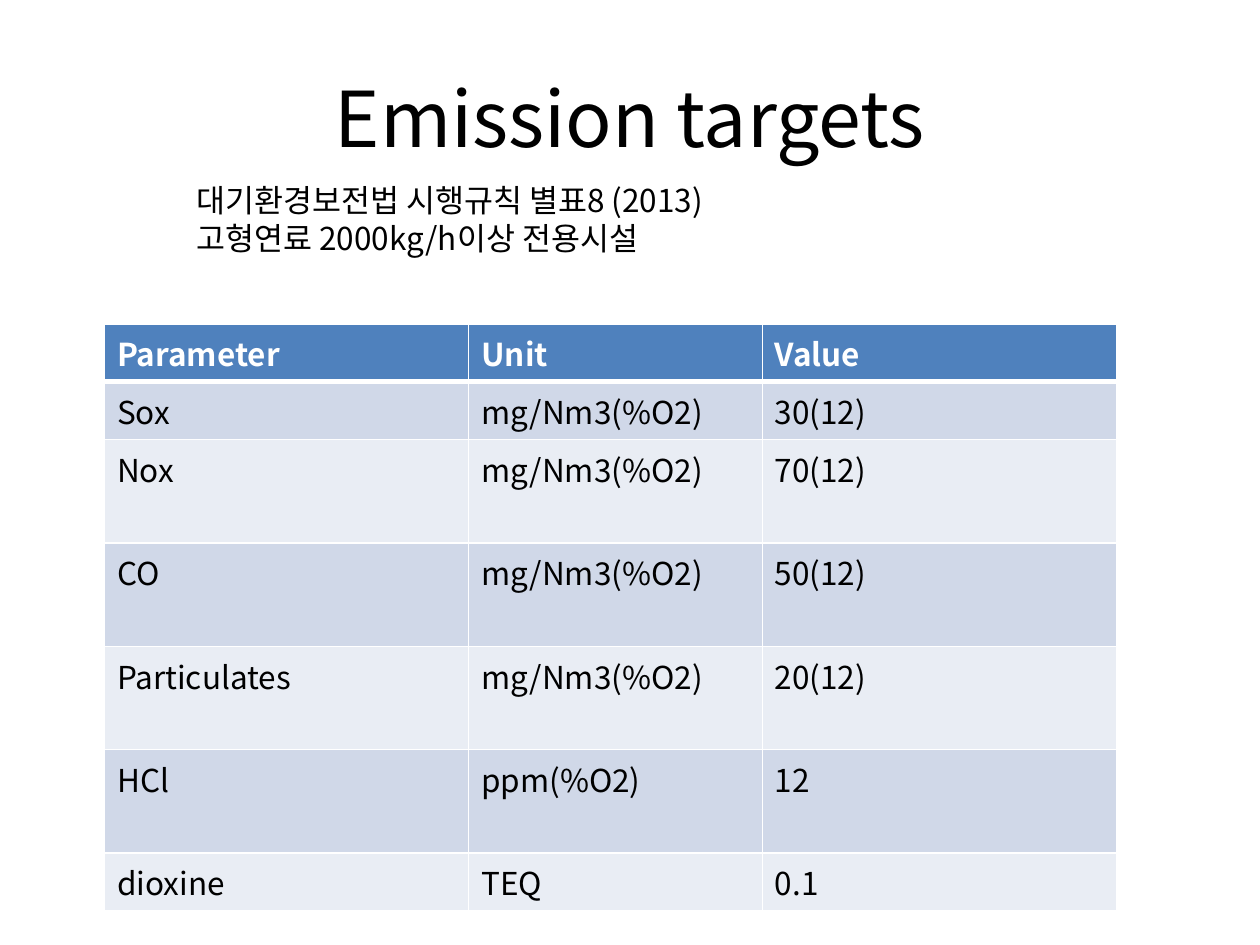
import dataclasses

import lxml.etree
import pptx
import pptx.dml.color
import pptx.enum.text
import pptx.oxml.ns
import pptx.util

Inches = pptx.util.Inches
ALIGN = pptx.enum.text.PP_ALIGN
ANCHOR = pptx.enum.text.MSO_ANCHOR


@dataclasses.dataclass(frozen=True)
class Theme:
    """Colours, font and type sizes of the slide."""
    font: str = "Noto Sans CJK KR"
    title_size: int = 44
    body_size: int = 18
    ink: str = "000000"
    white: str = "FFFFFF"
    header: str = "4F81BD"
    bands: tuple = ("D0D8E8", "E9EDF4")


THEME = Theme()
COLUMN_WIDTHS = (2.89, 2.33, 2.81)
SHORT_ROW, TALL_ROW = 0.46, 0.82
ROW_HEIGHTS = (SHORT_ROW, SHORT_ROW, *[TALL_ROW] * 4, SHORT_ROW)
TARGETS = (
    ("Parameter", "Unit", "Value"),
    ("Sox", "mg/Nm3(%O2)", "30(12)"),
    ("Nox", "mg/Nm3(%O2)", "70(12)"),
    ("CO", "mg/Nm3(%O2)", "50(12)"),
    ("Particulates", "mg/Nm3(%O2)", "20(12)"),
    ("HCl", "ppm(%O2)", "12"),
    ("dioxine", "TEQ", "0.1"),
)
REGULATION = (
    "대기환경보전법 시행규칙 별표8 (2013)",
    "고형연료 2000kg/h이상 전용시설",
)


def rgb(value):
    """Return a colour object for a hexadecimal value."""
    return pptx.dml.color.RGBColor.from_string(value)


def write_text(frame, lines, size=THEME.body_size, color=THEME.ink, bold=False,
               align=ALIGN.LEFT):
    """Write one formatted paragraph for each line of text."""
    for index, line in enumerate(lines):
        paragraph = frame.add_paragraph() if index else frame.paragraphs[0]
        paragraph.alignment = align
        run = paragraph.add_run()
        run.text = line
        run.font.name = THEME.font
        run.font.size = pptx.util.Pt(size)
        run.font.bold = bold
        run.font.color.rgb = rgb(color)
        east_asian = lxml.etree.SubElement(
            run.font._element, pptx.oxml.ns.qn("a:ea"))
        east_asian.set("typeface", THEME.font)


def add_text_box(slide, box, lines, anchor=ANCHOR.TOP, **text_format):
    """Place a wrapped text box in the given box."""
    frame = slide.shapes.add_textbox(*map(Inches, box)).text_frame
    frame.word_wrap = True
    frame.vertical_anchor = anchor
    write_text(frame, lines, **text_format)


def add_border(cell, side, width):
    """Draw one white border of a cell, with its width in points."""
    properties = cell._tc.get_or_add_tcPr()
    line = lxml.etree.SubElement(
        properties, pptx.oxml.ns.qn(f"a:ln{side}"), w=str(pptx.util.Pt(width)))
    fill = lxml.etree.SubElement(line, pptx.oxml.ns.qn("a:solidFill"))
    lxml.etree.SubElement(
        fill, pptx.oxml.ns.qn("a:srgbClr"), val=THEME.white)


def format_cell(cell, text, row_index):
    """Fill, border and write a cell according to its row."""
    is_header = row_index == 0
    widths = {"L": 1, "R": 1, "T": 3 if row_index == 1 else 1,
              "B": 3 if is_header else 1}
    for side, width in widths.items():
        add_border(cell, side, width)
    cell.fill.solid()
    band = THEME.bands[(row_index - 1) % 2]
    cell.fill.fore_color.rgb = rgb(THEME.header if is_header else band)
    write_text(cell.text_frame, [text], bold=is_header,
               color=THEME.white if is_header else THEME.ink)


def add_targets_table(slide, left, top):
    """Place the table of emission targets at the given corner."""
    box = (left, top, sum(COLUMN_WIDTHS), sum(ROW_HEIGHTS))
    table = slide.shapes.add_table(
        len(TARGETS), len(COLUMN_WIDTHS), *map(Inches, box)).table
    for column, width in zip(table.columns, COLUMN_WIDTHS):
        column.width = Inches(width)
    for row_index, values in enumerate(TARGETS):
        table.rows[row_index].height = Inches(ROW_HEIGHTS[row_index])
        for column_index, text in enumerate(values):
            format_cell(table.cell(row_index, column_index), text, row_index)


def main():
    """Build and save the emission targets slide."""
    presentation = pptx.Presentation()
    presentation.slide_width = Inches(10)
    presentation.slide_height = Inches(7.5)
    slide = presentation.slides.add_slide(presentation.slide_layouts[6])
    add_text_box(slide, (0.5, 0.3, 9, 1.25), ["Emission targets"],
                 anchor=ANCHOR.MIDDLE, size=THEME.title_size,
                 align=ALIGN.CENTER)
    add_targets_table(slide, 0.83, 2.57)
    add_text_box(slide, (1.46, 1.39, 4.65, 0.71), REGULATION)
    presentation.save("out.pptx")


if __name__ == "__main__":
    main()
